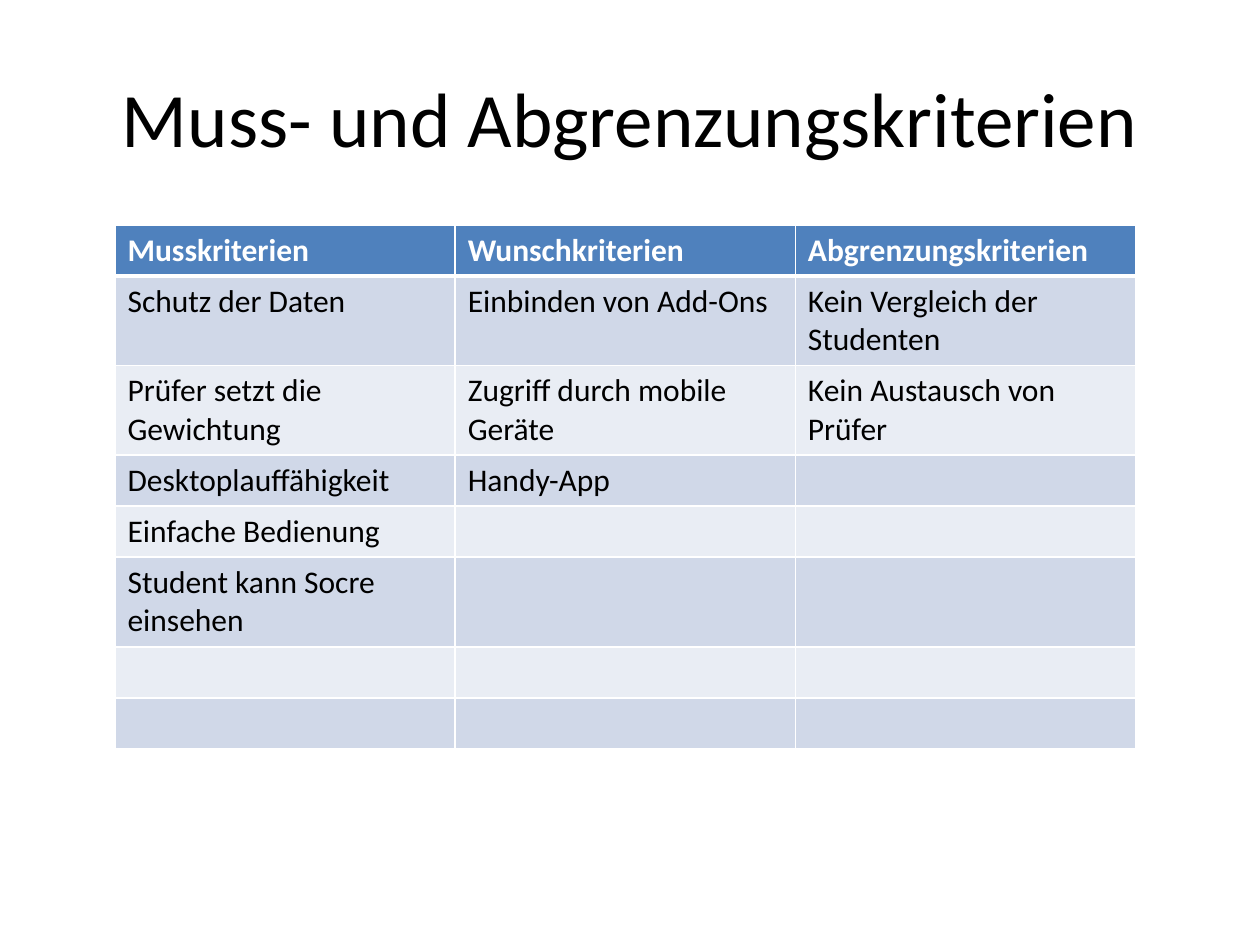
from dataclasses import dataclass

from lxml.etree import SubElement
from pptx import Presentation
from pptx.dml.color import RGBColor
from pptx.enum.text import MSO_ANCHOR, PP_ALIGN
from pptx.oxml.ns import qn
from pptx.util import Pt

FONT = "Calibri"
WHITE = "FFFFFF"
BLACK = "000000"
HEADER_FILL = "4F81BD"
BAND_FILLS = ("D0D8E8", "E9EDF4")
THIN, THICK = 1, 3

TABLE_LEFT, TABLE_TOP = 65.7, 128.5
COLUMN_WIDTH, ROW_HEIGHT = 194.4, 29.2

CRITERIA = [
    ("Musskriterien", "Wunschkriterien", "Abgrenzungskriterien"),
    ("Schutz der Daten", "Einbinden von Add-Ons", "Kein Vergleich der Studenten"),
    ("Prüfer setzt die Gewichtung", "Zugriff durch mobile Geräte", "Kein Austausch von Prüfer"),
    ("Desktoplauffähigkeit", "Handy-App", ""),
    ("Einfache Bedienung", "", ""),
    ("Student kann Socre einsehen", "", ""),
    ("", "", ""),
    ("", "", ""),
]


@dataclass(frozen=True)
class RowStyle:
    fill: str
    color: str
    bold: bool
    top: int
    bottom: int


def row_style(index: int) -> RowStyle:
    if index == 0:
        return RowStyle(HEADER_FILL, WHITE, True, THIN, THICK)
    top = THICK if index == 1 else THIN
    return RowStyle(BAND_FILLS[(index - 1) % 2], BLACK, False, top, THIN)


def rgb(color: str) -> RGBColor:
    return RGBColor.from_string(color)


def add_text(paragraph, text: str, size: float, color: str, bold: bool = False) -> None:
    run = paragraph.add_run()
    run.text = text
    run.font.name = FONT
    run.font.size = Pt(size)
    run.font.bold = bold
    run.font.color.rgb = rgb(color)


def set_borders(cell, top: int, bottom: int) -> None:
    """Draw white borders; call before the fill, which must follow them."""
    properties = cell._tc.get_or_add_tcPr()
    for side, width in (("L", THIN), ("R", THIN), ("T", top), ("B", bottom)):
        line = SubElement(properties, qn(f"a:ln{side}"), w=str(Pt(width)))
        SubElement(SubElement(line, qn("a:solidFill")), qn("a:srgbClr"), val=WHITE)


def format_cell(cell, text: str, style: RowStyle) -> None:
    set_borders(cell, style.top, style.bottom)
    cell.fill.solid()
    cell.fill.fore_color.rgb = rgb(style.fill)
    if text:
        add_text(cell.text_frame.paragraphs[0], text, 18, style.color, style.bold)


def add_title(slide, text: str) -> None:
    title = slide.shapes.title
    title.left, title.top, title.width, title.height = Pt(36), Pt(21.6), Pt(648), Pt(90)
    title.text_frame.vertical_anchor = MSO_ANCHOR.MIDDLE
    paragraph = title.text_frame.paragraphs[0]
    paragraph.alignment = PP_ALIGN.CENTER
    add_text(paragraph, text, 44, BLACK)


def add_criteria_table(slide, rows: list[tuple[str, ...]]) -> None:
    row_count, column_count = len(rows), len(rows[0])
    table = slide.shapes.add_table(
        row_count, column_count, Pt(TABLE_LEFT), Pt(TABLE_TOP),
        Pt(COLUMN_WIDTH * column_count), Pt(ROW_HEIGHT * row_count),
    ).table
    for row_index, texts in enumerate(rows):
        style = row_style(row_index)
        for column_index, text in enumerate(texts):
            format_cell(table.cell(row_index, column_index), text, style)


def main() -> None:
    presentation = Presentation()
    presentation.slide_width, presentation.slide_height = Pt(720), Pt(540)
    slide = presentation.slides.add_slide(presentation.slide_layouts.get_by_name("Title Only"))
    add_title(slide, "Muss- und Abgrenzungskriterien")
    add_criteria_table(slide, CRITERIA)
    presentation.save("out.pptx")


if __name__ == "__main__":
    main()
